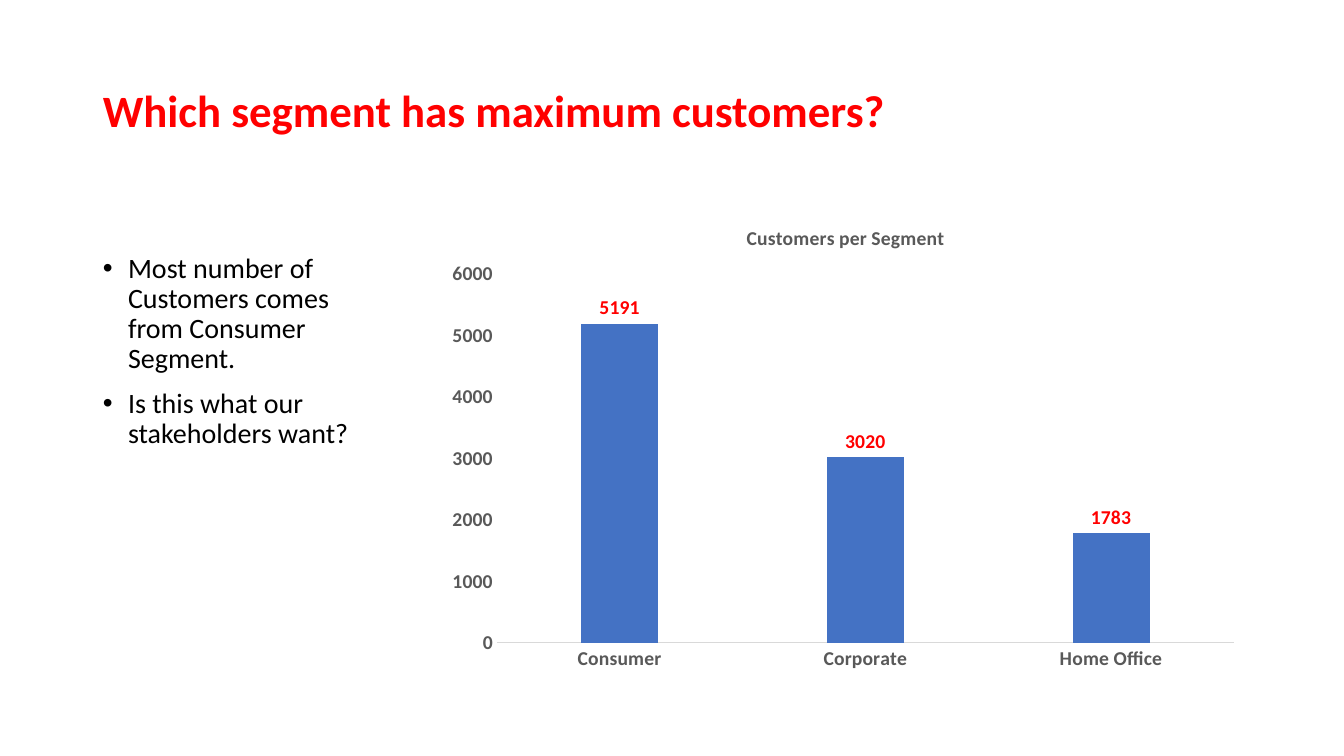
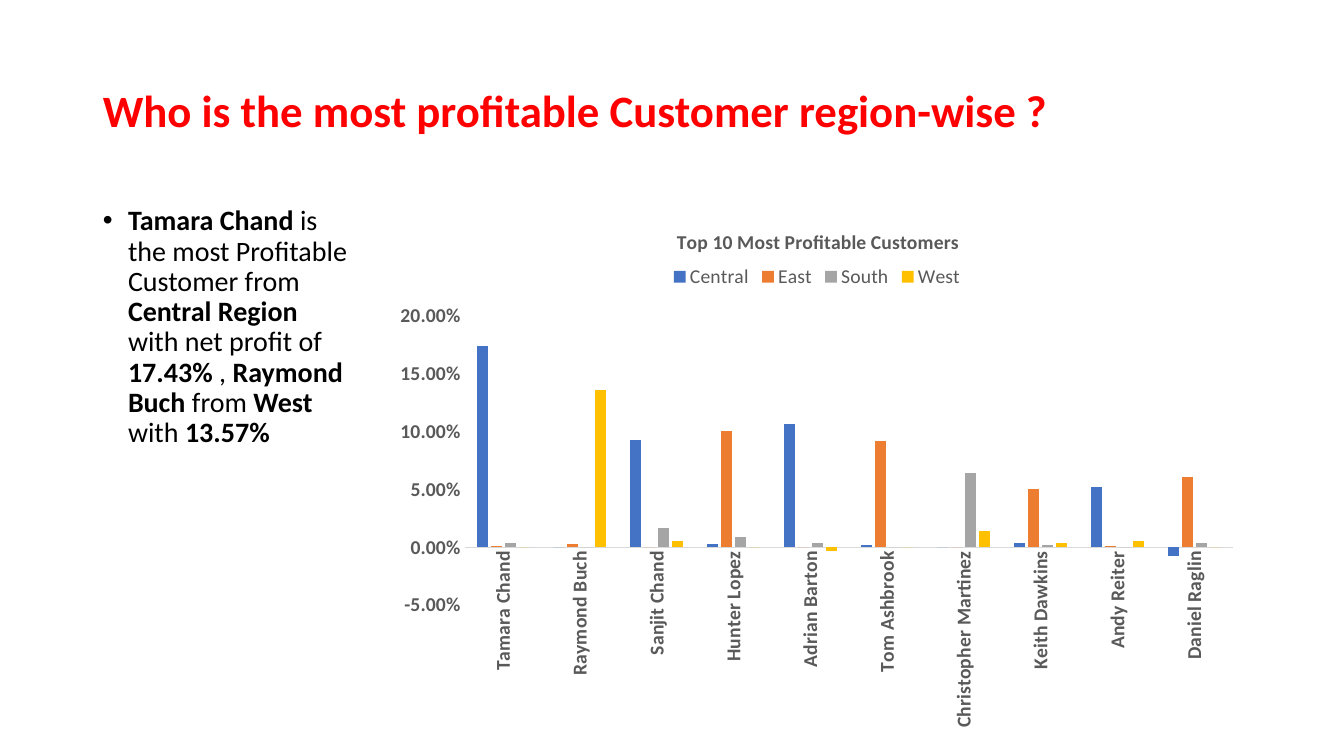
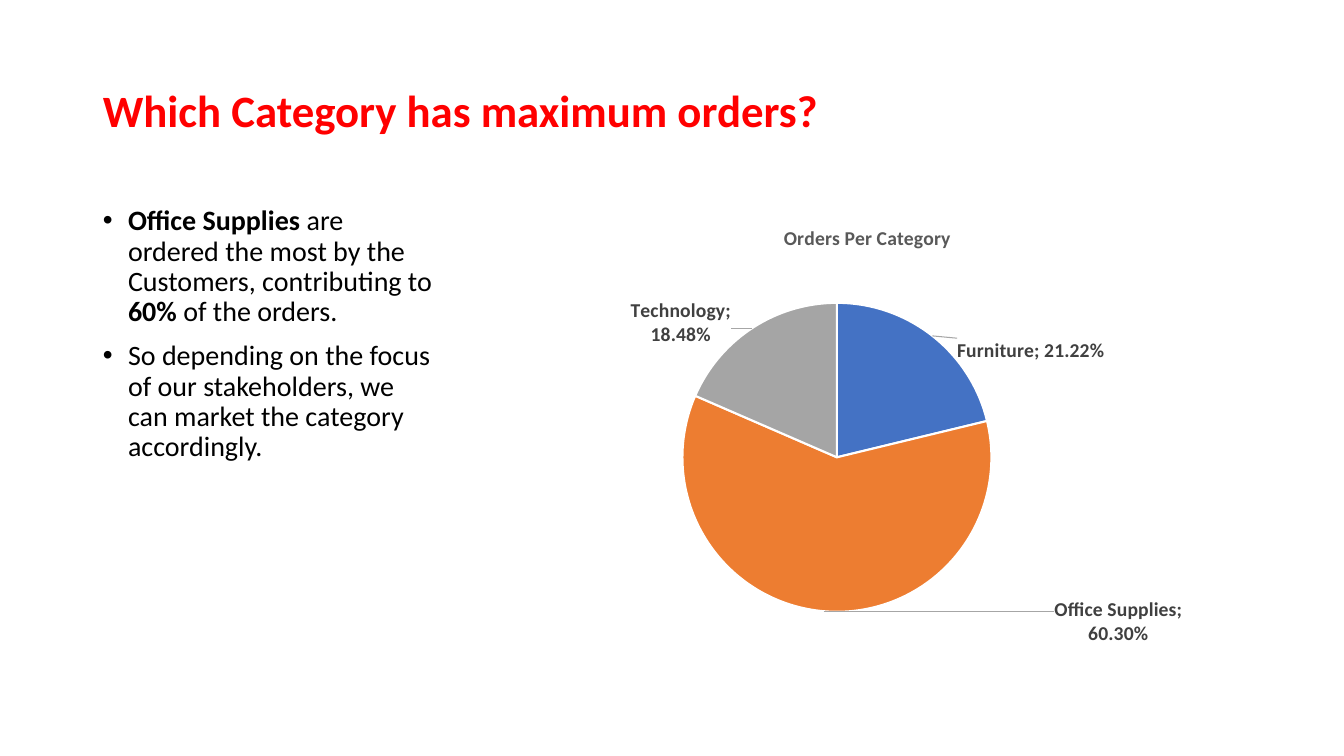
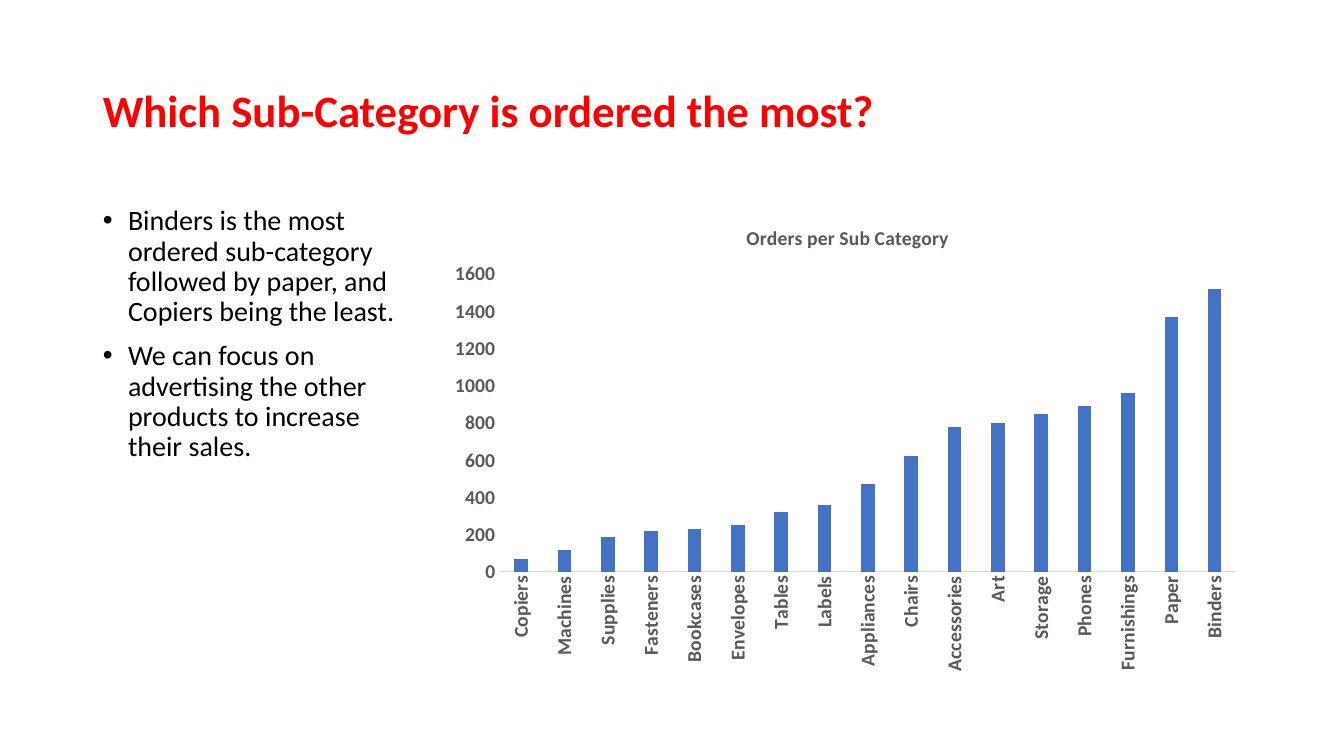
"""Build a four-slide review of customers and orders."""
from copy import deepcopy

from pptx import Presentation
from pptx.chart.data import CategoryChartData
from pptx.dml.color import RGBColor
from pptx.enum.chart import XL_CHART_TYPE, XL_LABEL_POSITION, XL_LEGEND_POSITION, XL_TICK_MARK
from pptx.enum.text import MSO_ANCHOR, MSO_AUTO_SIZE, PP_ALIGN
from pptx.oxml import parse_xml
from pptx.oxml.ns import nsdecls, qn
from pptx.util import Inches, Pt

RED = RGBColor(0xFF, 0x00, 0x00)
BLACK = RGBColor(0x00, 0x00, 0x00)
WHITE = RGBColor(0xFF, 0xFF, 0xFF)
GRAY = RGBColor(0x59, 0x59, 0x59)
DARK_GRAY = RGBColor(0x40, 0x40, 0x40)
LIGHT_GRAY = RGBColor(0xD9, 0xD9, 0xD9)
PALETTE = [
    RGBColor(0x44, 0x72, 0xC4),
    RGBColor(0xED, 0x7D, 0x31),
    RGBColor(0xA5, 0xA5, 0xA5),
    RGBColor(0xFF, 0xC0, 0x00),
]
FONT = "Calibri"
PERCENT = "0.00%"

COLUMNS = ROWS = 100
LEFT, RIGHT = 6.9, 93.15
TITLE_TOP, TITLE_ROWS = 5.33, 19.33
BODY_TOP, BODY_ROWS = 26.67, 63.47


def set_font(font, size, color, bold=False):
    font.name = FONT
    font.size = Pt(size)
    font.bold = bold
    font.color.rgb = color


def set_layout(parent, index, x, y, size=None, inner=False):
    """Place a chart part by percentages of the chart's size."""
    values = {"x": x / 100, "y": y / 100}
    if size:
        values.update(w=size[0] / 100, h=size[1] / 100)
    target = '<c:layoutTarget val="inner"/>' if inner else ""
    modes = "" if parent.tag == qn("c:dLbl") else '<c:xMode val="edge"/><c:yMode val="edge"/>'
    places = "".join(f'<c:{name} val="{value:.4f}"/>' for name, value in values.items())
    for old in parent.findall(qn("c:layout")):
        parent.remove(old)
    parent.insert(index, parse_xml(
        f'<c:layout {nsdecls("c")}><c:manualLayout>{target}{modes}{places}'
        "</c:manualLayout></c:layout>"))


class Report:
    """Hold the deck's style and the slide being built."""

    def __init__(self):
        self.deck = Presentation()
        self.deck.slide_width = Inches(13.333)
        self.deck.slide_height = Inches(7.5)
        self.slide = None

    def area(self, column, row, columns, rows):
        width = self.deck.slide_width / COLUMNS
        height = self.deck.slide_height / ROWS
        return [round(v) for v in (column * width, row * height, columns * width, rows * height)]

    def place(self, box, *cells):
        box.left, box.top, box.width, box.height = self.area(*cells)

    def add_slide(self, title):
        self.slide = self.deck.slides.add_slide(self.deck.slide_layouts[1])
        box = self.slide.shapes.title
        self.place(box, LEFT, TITLE_TOP, RIGHT - LEFT, TITLE_ROWS)
        frame = box.text_frame
        frame.text = title
        frame.auto_size = MSO_AUTO_SIZE.NONE
        frame.vertical_anchor = MSO_ANCHOR.MIDDLE
        para = frame.paragraphs[0]
        para.alignment = PP_ALIGN.LEFT
        para.line_spacing = 0.9
        set_font(para.runs[0].font, 32, RED, True)

    def add_bullets(self, columns, items, margin_top=0.05):
        """Fill the body; text between asterisks is bold."""
        box = self.slide.placeholders[1]
        self.place(box, LEFT, BODY_TOP, columns, BODY_ROWS)
        frame = box.text_frame
        frame.auto_size = MSO_AUTO_SIZE.NONE
        frame.margin_top = Inches(margin_top)
        for index, item in enumerate(items):
            para = frame.add_paragraph() if index else frame.paragraphs[0]
            para.line_spacing = 0.9
            para.space_before = Pt(10)
            properties = para._p.get_or_add_pPr()
            properties.set("marL", str(Inches(0.25)))
            properties.set("indent", str(Inches(-0.25)))
            for part, text in enumerate(item.split("*")):
                if text:
                    span = para.add_run()
                    span.text = text
                    set_font(span.font, 20, BLACK, part % 2 == 1)

    def add_chart(self, kind, title, title_at, column, categories, series, plot_at,
                  rows=BODY_ROWS, number_format="General"):
        data = CategoryChartData(number_format=number_format)
        data.categories = categories
        for name, values in series.items():
            data.add_series(name, values)
        cells = self.area(column, BODY_TOP, RIGHT - column, rows)
        chart = self.slide.shapes.add_chart(kind, *cells, data).chart
        set_font(chart.font, 10, BLACK)
        chart.has_legend = False
        frame = chart.chart_title.text_frame
        frame.text = title
        set_font(frame.paragraphs[0].runs[0].font, 14, GRAY, True)
        chart.chart_title.include_in_layout = False
        set_layout(chart.chart_title._element, 1, *title_at)
        x, y, width, height = plot_at
        set_layout(chart._chartSpace.chart.plotArea, 0, x, y, (width, height), inner=True)
        return chart

    def add_columns(self, *details, scale, upright=False, **options):
        chart = self.add_chart(XL_CHART_TYPE.COLUMN_CLUSTERED, *details, **options)
        plot = chart.plots[0]
        plot.vary_by_categories = False
        plot.gap_width = 219
        plot.overlap = -27
        for series, color in zip(plot.series, PALETTE):
            series.invert_if_negative = False
            series.format.fill.solid()
            series.format.fill.fore_color.rgb = color
        for axis in (chart.category_axis, chart.value_axis):
            axis.has_major_gridlines = False
            axis.major_tick_mark = axis.minor_tick_mark = XL_TICK_MARK.NONE
            set_font(axis.tick_labels.font, 14, GRAY, True)
        line = chart.category_axis.format.line
        line.color.rgb = LIGHT_GRAY
        line.width = Pt(0.75)
        if upright:
            chart.category_axis._element.find(qn("c:txPr")).bodyPr.set("rot", "-5400000")
        value_axis = chart.value_axis
        value_axis.format.line.fill.background()
        value_axis.minimum_scale, value_axis.maximum_scale, value_axis.major_unit = scale
        value_axis.tick_labels.number_format = options.get("number_format", "General")
        value_axis.tick_labels.number_format_is_linked = False
        return chart

    def add_pie(self, *details, label_offsets, **options):
        chart = self.add_chart(XL_CHART_TYPE.PIE, *details, **options)
        series = chart.plots[0].series[0]
        labels = self.add_labels(series, DARK_GRAY)
        labels.show_category_name = True
        labels.number_format = PERCENT
        labels.number_format_is_linked = False
        element = labels._element
        shared = [child for child in element if child.tag != qn("c:showLeaderLines")]
        for index, offset in enumerate(label_offsets):
            fill = series.points[index].format.fill
            fill.solid()
            fill.fore_color.rgb = PALETTE[index]
            line = series.points[index].format.line
            line.color.rgb = WHITE
            line.width = Pt(1.5)
            label = parse_xml(f'<c:dLbl {nsdecls("c")}><c:idx val="{index}"/></c:dLbl>')
            set_layout(label, 1, *offset)
            label.extend(deepcopy(child) for child in shared)
            element.insert(index, label)
        element.append(parse_xml(
            f'<c:leaderLines {nsdecls("c", "a")}><c:spPr><a:ln w="9525"><a:solidFill>'
            '<a:srgbClr val="A6A6A6"/></a:solidFill></a:ln></c:spPr></c:leaderLines>'))

    def add_labels(self, series, color):
        labels = series.data_labels
        labels.show_value = True
        labels.position = XL_LABEL_POSITION.OUTSIDE_END
        set_font(labels.font, 14, color, True)
        return labels

    def add_legend(self, chart, x, y, size):
        chart.has_legend = True
        chart.legend.position = XL_LEGEND_POSITION.TOP
        chart.legend.include_in_layout = False
        set_font(chart.legend.font, 14, GRAY)
        set_layout(chart.legend._element, 1, x, y, size)


def main():
    report = Report()

    report.add_slide("Which segment has maximum customers?")
    report.add_bullets(21.9, [
        "Most number of Customers comes from Consumer Segment.",
        "Is this what our stakeholders want?",
    ], margin_top=0.52)
    chart = report.add_columns(
        "Customers per Segment", (37.6, 4), 32.48,
        ["Consumer", "Corporate", "Home Office"],
        {"Series 1": [5191, 3020, 1783]},
        (7.4, 15.1, 90.4, 76.9), scale=(0, 6000, 1000))
    report.add_labels(chart.plots[0].series[0], RED)

    report.add_slide("Who is the most profitable Customer region-wise ?")
    report.add_bullets(19.88, [
        "*Tamara Chand *is the most Profitable Customer from *Central Region *"
        "with net profit of *17.43% *, *Raymond Buch *from* West *with *13.57%*",
    ])
    chart = report.add_columns(
        "Top 10 Most Profitable Customers", (33.4, 4.2), 28.5,
        ["Tamara Chand", "Raymond Buch", "Sanjit Chand", "Hunter Lopez", "Adrian Barton",
         "Tom Ashbrook", "Christopher Martinez", "Keith Dawkins", "Andy Reiter",
         "Daniel Raglin"],
        {
            "Central": [0.174, 0, 0.093, 0.003, 0.107, 0.002, 0, 0.004, 0.052, -0.008],
            "East": [0.001, 0.003, 0, 0.101, 0, 0.092, 0, 0.05, 0.001, 0.061],
            "South": [0.004, 0, 0.017, 0.009, 0.004, 0, 0.064, 0.002, 0, 0.004],
            "West": [0, 0.136, 0.005, 0, -0.003, 0, 0.014, 0.004, 0.005, 0],
        },
        (9.4, 21.3, 88.4, 53.8), scale=(-0.05, 0.2, 0.05), upright=True,
        rows=71.07, number_format=PERCENT)
    report.add_legend(chart, 32.7, 11.2, (34.5, 5.6))

    report.add_slide("Which Category has maximum orders?")
    report.add_bullets(26.25, [
        "*Office Supplies *are ordered the most by the Customers, contributing to "
        "*60% *of the orders.",
        "So depending on the focus of our stakeholders, we can market the category "
        "accordingly.",
    ])
    report.add_pie(
        "Orders Per Category", (39.3, 4), 35.33,
        ["Furniture", "Office Supplies", "Technology"],
        {"Series 1": [0.2122, 0.603, 0.1848]},
        (26.7, 21.1, 39.8, 64.4), number_format=PERCENT,
        label_offsets=[(2.7, 6.5), (38, -4), (-2.3, 5)])

    report.add_slide("Which Sub-Category is ordered the most?")
    report.add_bullets(24.23, [
        "Binders is the most ordered sub-category followed by paper, and Copiers being "
        "the least.",
        "We can focus on advertising the other products to increase their sales.",
    ])
    report.add_columns(
        "Orders per Sub Category", (37.5, 4), 32.55,
        ["Copiers", "Machines", "Supplies", "Fasteners", "Bookcases", "Envelopes", "Tables",
         "Labels", "Appliances", "Chairs", "Accessories", "Art", "Storage", "Phones",
         "Furnishings", "Paper", "Binders"],
        {"Series 1": [70, 120, 190, 220, 230, 250, 320, 360, 470, 620, 780, 800, 850, 890,
                      960, 1370, 1520]},
        (7.6, 15.1, 90.5, 62.1), scale=(0, 1600, 200), upright=True)

    report.deck.save("out.pptx")


if __name__ == "__main__":
    main()
